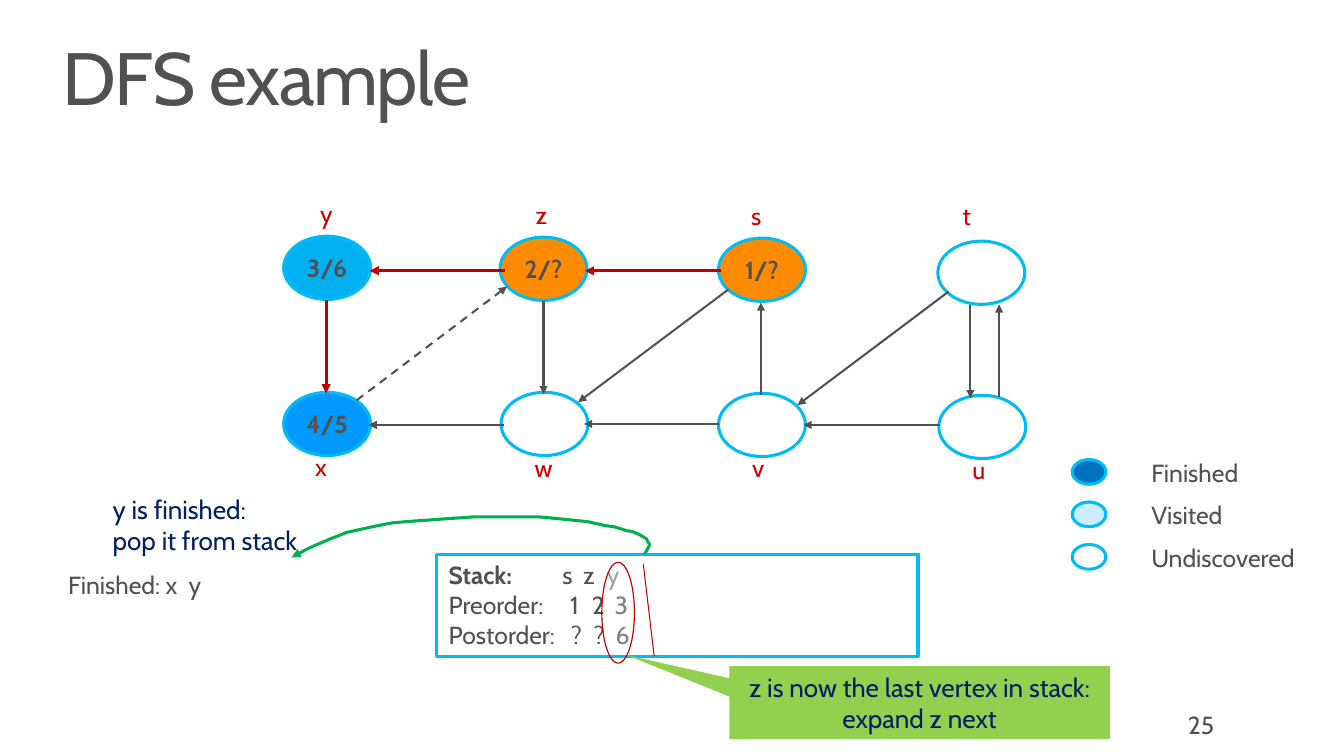
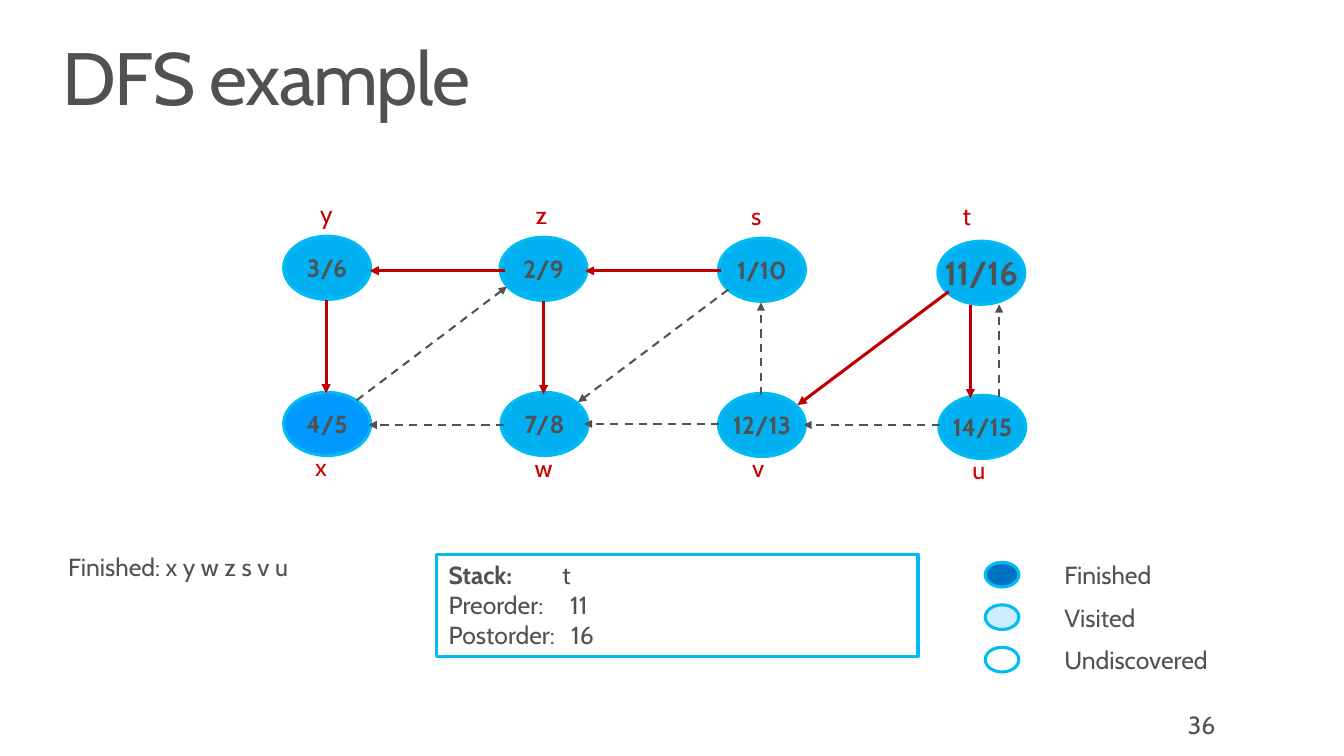
from lxml import etree
from pptx import Presentation
from pptx.dml.color import RGBColor
from pptx.enum.dml import MSO_LINE
from pptx.enum.shapes import MSO_CONNECTOR, MSO_SHAPE
from pptx.enum.text import MSO_ANCHOR, PP_ALIGN
from pptx.oxml.ns import qn
from pptx.util import Pt

PX = 9144
FONT = "Cabin"
INK, RED, LABEL, NAVY, SKY = "525051", "C00000", "CC0000", "002060", "00BCF2"
DONE, DONE_X, ACTIVE, NEW = "00B0F0", "0099FF", "FF8C00", "FFFFFF"
LEFT, CENTER = PP_ALIGN.LEFT, PP_ALIGN.CENTER
TOP, MIDDLE = MSO_ANCHOR.TOP, MSO_ANCHOR.MIDDLE
OVAL, RECT = MSO_SHAPE.OVAL, MSO_SHAPE.RECTANGLE
CALLOUT, STRAIGHT, DASH = MSO_SHAPE.RECTANGULAR_CALLOUT, MSO_CONNECTOR.STRAIGHT, MSO_LINE.DASH

NODE_SIZE = (88, 64)
NODES = {
    "y": (287, 239), "z": (506, 240), "s": (727, 241), "t": (949, 244),
    "x": (287, 397), "w": (507, 397), "v": (727, 398), "u": (950, 400),
}
LABELS = {
    "y": (312, 195), "z": (530, 196), "s": (748, 197), "t": (962, 197),
    "x": (307, 451), "w": (529, 452), "v": (749, 452), "u": (972, 454),
}
EDGES = {
    "yx": (330, 304, 330, 398), "zw": (550, 305, 550, 399),
    "vs": (770, 400, 770, 306), "tu": (982, 309, 982, 403),
    "ut": (1011, 402, 1011, 308), "zy": (511, 274, 374, 274),
    "sz": (730, 274, 592, 274), "wx": (510, 430, 373, 430),
    "vw": (728, 429, 591, 429), "uv": (951, 430, 813, 430),
    "xz": (361, 405, 513, 290), "sw": (737, 293, 585, 407),
    "tv": (960, 295, 807, 410),
}
EDGE_STYLES = {"plain": (INK, 1.5, False), "dash": (INK, 1.5, True), "tree": (RED, 2.25, False)}
LEGEND = [("Finished", "0070C0"), ("Visited", "CCECFF"), ("Undiscovered", NEW)]
LEGEND_PITCH = 43
STACK_BOX = (442, 561, 487, 103)
STACK_TABS = [(115, 136, 160), (123, 145, 168), (124, 147, 169)]
STACK_HEADS = [("Stack:", True), ("Preorder:", False), ("Postorder:", False)]
POP_CURVE = [
    [(652, 561), (657, 554), (662, 547), (645, 540)],
    [(645, 540), (627, 534), (588, 525), (545, 523)],
    [(545, 523), (502, 522), (429, 524), (387, 531)],
    [(387, 531), (346, 537), (320, 551), (295, 564)],
]
CURVE_STEPS = 12

SLIDES = [
    {
        "number": "25",
        "nodes": {"y": ("3/6", DONE), "x": ("4/5", DONE_X), "z": ("2/?", ACTIVE), "s": ("1/?", ACTIVE)},
        "tree": ["zy", "sz", "yx"], "dash": ["xz"],
        "finished": ("Finished: x\ty", 571),
        "stack": [("\ts\tz\t", "y", "A1A1A1"), ("\t1\t2\t", "3", "808080"), ("\t?\t?\t", "6", "808080")],
        "legend": (1085, 465),
        "popping": True,
    },
    {
        "number": "36",
        "nodes": {
            "y": ("3/6", DONE), "x": ("4/5", DONE_X), "z": ("2/9", DONE), "s": ("1/10", DONE),
            "w": ("7/8", DONE), "v": ("12/13", DONE), "u": ("14/15", DONE), "t": ("11/16", DONE, 24),
        },
        "tree": ["zy", "sz", "yx", "zw", "tv", "tu"],
        "dash": ["xz", "wx", "vs", "sw", "vw", "uv", "ut"],
        "finished": ("Finished: x y w z s v u", 552),
        "stack": [("\tt", "", INK), ("\t11", "", INK), ("\t16", "", INK)],
        "legend": (997, 569),
        "popping": False,
    },
]


def emu(*lengths):
    return [round(n * PX) for n in lengths]


def rgb(value):
    return RGBColor.from_string(value)


def write(sp, paragraphs, size=18, color=INK, bold=False, align=LEFT, anchor=TOP,
          wrap=True, insets=(12, 6, 12, 6), tabs=(), line_spacing=None, spacing=None):
    tf = sp.text_frame
    tf.word_wrap = wrap
    tf.vertical_anchor = anchor
    tf.margin_left, tf.margin_top, tf.margin_right, tf.margin_bottom = emu(*insets)
    for i, runs in enumerate(paragraphs):
        p = tf.paragraphs[0] if i == 0 else tf.add_paragraph()
        p.alignment = align
        if line_spacing:
            p.line_spacing = line_spacing
        if i < len(tabs):
            stops = etree.SubElement(p._p.get_or_add_pPr(), qn("a:tabLst"))
            for pos in emu(*tabs[i]):
                etree.SubElement(stops, qn("a:tab"), pos=str(pos), algn="l")
        for run in [(runs,)] if isinstance(runs, str) else runs:
            text, run_color, run_bold = (*run, color, bold)[:3] if len(run) != 2 else (*run, bold)
            r = p.add_run()
            r.text = text
            r.font.name, r.font.size, r.font.bold = FONT, Pt(size), run_bold
            r.font.color.rgb = rgb(run_color)
            if spacing:
                r._r.get_or_add_rPr().set("spc", str(spacing))


def add_text(s, box, paragraphs, **fmt):
    write(s.shapes.add_textbox(*emu(*box)), paragraphs, **fmt)


def style_line(line, color, width, dashed=False, arrow=False):
    line.color.rgb = rgb(color)
    line.width = Pt(width)
    if dashed:
        line.dash_style = DASH
    if arrow:
        etree.SubElement(line._get_or_add_ln(), qn("a:tailEnd"), type="triangle")


def add_shape(s, kind, box, fill=None, line=SKY, width=2.25):
    sp = s.shapes.add_shape(kind, *emu(*box))
    sp.shadow.inherit = False
    if fill:
        sp.fill.solid()
        sp.fill.fore_color.rgb = rgb(fill)
    else:
        sp.fill.background()
    if line:
        style_line(sp.line, line, width)
    else:
        sp.line.fill.background()
    return sp


def add_line(s, ends, color, width, dashed=False, arrow=False):
    c = s.shapes.add_connector(STRAIGHT, *emu(*ends))
    style_line(c.line, color, width, dashed, arrow)
    etree.SubElement(c._element.spPr, qn("a:effectLst"))


def bezier(points, t):
    weights = ((1 - t) ** 3, 3 * t * (1 - t) ** 2, 3 * t * t * (1 - t), t ** 3)
    return tuple(sum(w * pt[axis] for w, pt in zip(weights, points)) for axis in (0, 1))


def add_curve(s, segments, color, width):
    points = [bezier(seg, i / CURVE_STEPS) for seg in segments for i in range(1, CURVE_STEPS + 1)]
    fb = s.shapes.build_freeform(*segments[0][0], scale=PX)
    fb.add_line_segments(points, close=False)
    sp = fb.convert_to_shape()
    sp.shadow.inherit = False
    sp.fill.background()
    style_line(sp.line, color, width, arrow=True)


def add_graph(s, data):
    for name, pos in NODES.items():
        text, fill, size = (*data["nodes"].get(name, ("", NEW)), 18)[:3]
        sp = add_shape(s, OVAL, (*pos, *NODE_SIZE), fill)
        if text:
            write(sp, [text], size=size, bold=True, align=CENTER, anchor=MIDDLE, wrap=False)
        add_text(s, (*LABELS[name], 46, 43), [name], color=LABEL)
    for name, ends in EDGES.items():
        kind = next((k for k in ("tree", "dash") if name in data[k]), "plain")
        add_line(s, ends, *EDGE_STYLES[kind], arrow=True)


def add_stack(s, rows):
    paragraphs = [
        [(head, INK, bold), (values,), (last, color)] if last else [(head, INK, bold), (values,)]
        for (head, bold), (values, last, color) in zip(STACK_HEADS, rows)
    ]
    write(add_shape(s, RECT, STACK_BOX), paragraphs, tabs=STACK_TABS)


def add_legend(s, x, y):
    for i, (name, fill) in enumerate(LEGEND):
        top = y + i * LEGEND_PITCH
        add_shape(s, OVAL, (x, top, 34, 25), fill)
        add_text(s, (x + 68, top - 8, 200, 43), [name])


def add_pop_notes(s):
    add_line(s, (651, 571, 662, 664), RED, 0.75)
    add_curve(s, POP_CURVE, "00B050", 2.25)
    add_text(s, (102, 493, 269, 76), ["y is finished:", "pop it from stack"], size=19, color=NAVY)
    add_shape(s, OVAL, (609, 569, 33, 102), line=RED, width=0.85)
    sp = add_shape(s, CALLOUT, (738, 674, 385, 74), "92D050", line=None)
    sp.adjustments[0], sp.adjustments[1] = -0.77, -0.65
    write(sp, ["z is now the last vertex in stack: expand z next"],
          size=19, color=NAVY, align=CENTER, anchor=MIDDLE)


def add_slide(prs, data):
    s = prs.slides.add_slide(prs.slide_layouts[6])
    add_text(s, (30, 32, 1300, 100), ["DFS example"], size=54,
             insets=(33, 10, 16, 10), line_spacing=0.9, spacing=-100)
    add_text(s, (1190, 712, 102, 53), [data["number"]])
    add_graph(s, data)
    add_stack(s, data["stack"])
    finished, top = data["finished"]
    add_text(s, (57, top, 363, 43), [finished], tabs=[(122,)])
    add_legend(s, *data["legend"])
    if data["popping"]:
        add_pop_notes(s)


def main():
    prs = Presentation()
    prs.slide_width, prs.slide_height = emu(1360, 765)
    for data in SLIDES:
        add_slide(prs, data)
    prs.save("out.pptx")


if __name__ == "__main__":
    main()
